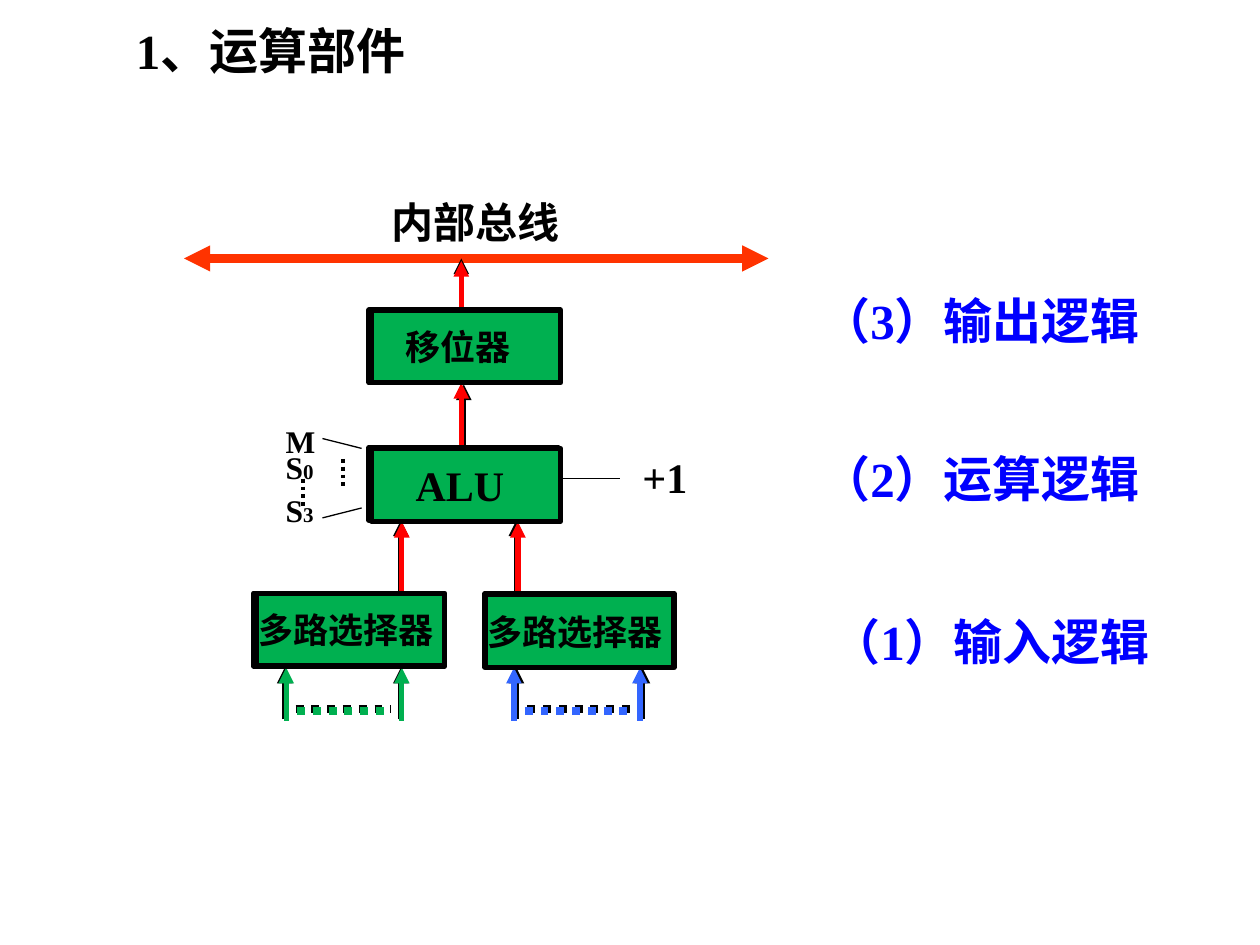
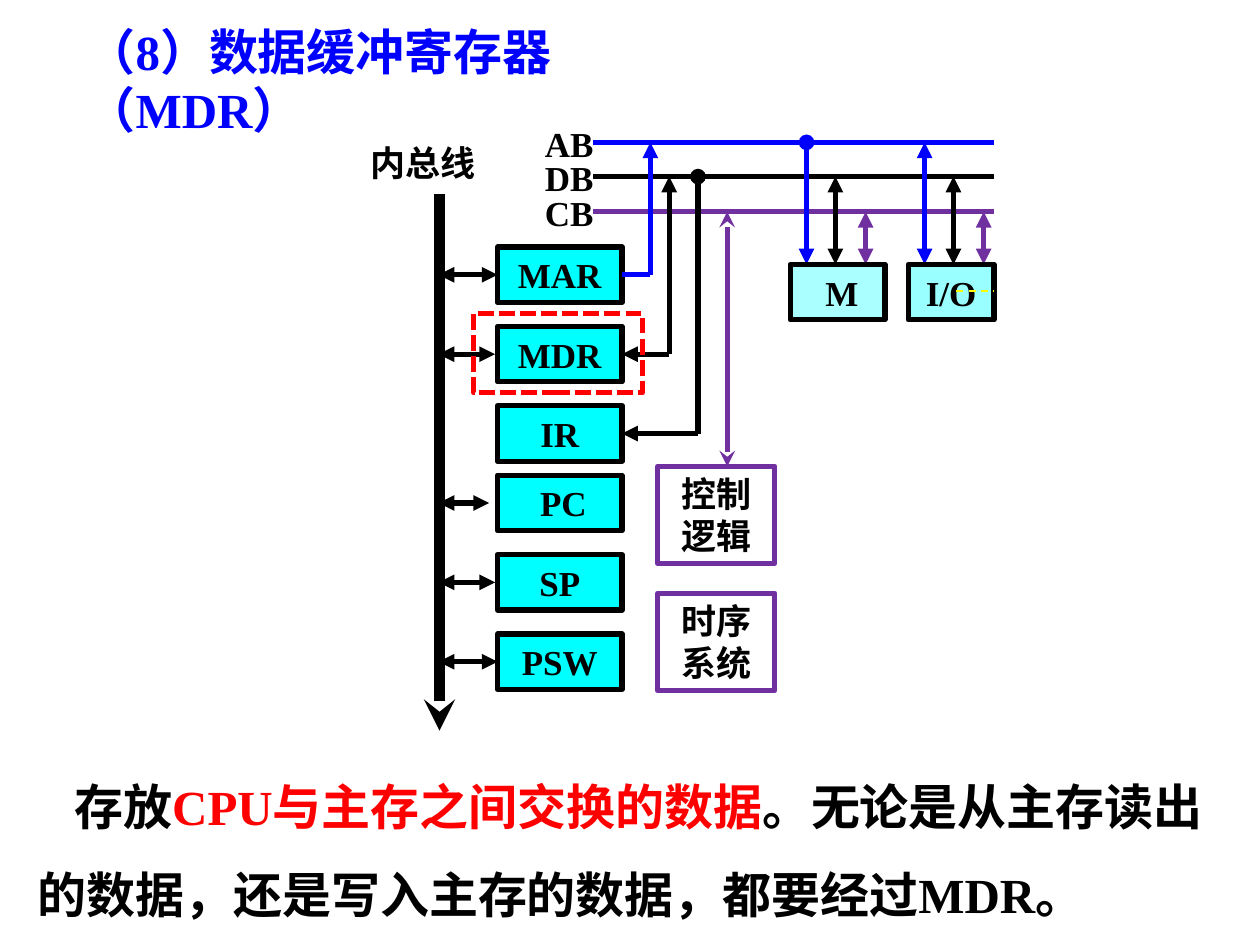
from lxml import etree
from pptx import Presentation
from pptx import util as u
from pptx.dml.color import RGBColor
from pptx.enum import dml, shapes, text
from pptx.oxml.ns import qn

Cm, Pt = u.Cm, u.Pt
FONT = "Times New Roman"
COLORS = {
    "black": "000000", "red": "FF0000", "orange": "FF3300", "blue": "0000FF",
    "green": "00B050", "sky": "3366FF", "purple": "7030A0", "yellow": "FFFF00",
    "cyan": "00FFFF", "pale": "AAFFFF", "ice": "99FFFF",
}
DASHES = {
    "dots": dml.MSO_LINE.ROUND_DOT,
    "dashes": dml.MSO_LINE.SQUARE_DOT,
    "long": dml.MSO_LINE.DASH,
}
LEFT, CENTER = text.PP_ALIGN.LEFT, text.PP_ALIGN.CENTER
TOP, MIDDLE = text.MSO_ANCHOR.TOP, text.MSO_ANCHOR.MIDDLE
LEFT_SIDE, RIGHT_SIDE = 1, 3

# Slide 1: all places in centimetres
UNIT_SIZE = (3.81, 1.47)
UNITS = [  # label, size, left inset, place, place of the black backing
    ("多路选择器", 20, 0.05, (5.16, 11.96), (5.11, 11.96)),
    ("多路选择器", 20, 0.05, (9.78, 11.99), (9.78, 11.96)),
    ("ALU", 24, 0.89, (7.49, 9.04), (7.44, 9.02)),
    ("移位器", 20, 0.69, (7.49, 6.25), (7.44, 6.25)),
]
RISING_ARROWS = [  # colour, x, bottom, top
    ("black", 9.35, 9.02, 7.75), ("black", 9.30, 6.25, 5.21),
    ("black", 8.08, 11.96, 10.49), ("black", 10.41, 11.96, 10.49),
    ("red", 8.10, 12.01, 10.52), ("red", 10.44, 12.01, 10.52),
    ("red", 9.30, 8.99, 7.72), ("red", 9.30, 6.32, 5.26),
]
INPUT_GROUPS = [  # colour, x of first and last input, bottom
    ("black", 5.74, 8.08, 14.50), ("black", 10.41, 12.95, 14.50),
    ("green", 5.77, 8.10, 14.53), ("sky", 10.36, 12.90, 14.53),
]
CONTROL_LINES = [  # start, end, width, dash
    ((6.91, 9.25), (6.91, 9.86), 2.25, "dots"),
    ((6.10, 9.65), (6.10, 10.24), 2.25, "dots"),
    ((6.50, 8.84), (7.29, 9.04), 0.75, None),
    ((6.50, 10.44), (7.29, 10.24), 0.75, None),
    ((11.30, 9.65), (12.50, 9.65), 0.75, None),
]
CONTROL_SIGNALS = [[("M S", 18), ("0", 12)], [("S", 18), ("3", 12)]]
LOGIC_LABELS = [
    ("（1）输入逻辑", 16.51, 12.19),
    ("（2）运算逻辑", 16.31, 8.92),
    ("（3）输出逻辑", 16.31, 5.72),
]

# Slide 2
REGISTER_SIZE = (2.51, 1.12)
REGISTER_LEFT, REGISTER_STEP = 10.03, 1.6
REGISTER_GROUPS = [(4.98, ["MAR", "MDR", "IR"]), (9.58, ["PC", "SP", "PSW"])]
INNER_BUS_X = 8.84
SHORT_ARROWS = {"MDR": 9.98, "PC": 9.86, "SP": 9.98}
BUSES = {"AB": (2.87, "blue"), "DB": (3.56, "black"), "CB": (4.27, "purple")}
BUS_LEFT, BUS_RIGHT = 11.96, 20.04
DEVICES = [  # label, left, width, fill, left inset, start of address line
    ("M", 15.93, 1.91, "pale", 0.43, "oval"),
    ("I/O", 18.31, 1.73, "ice", 0.25, "triangle"),
]
DEVICE_TOP = 5.33
DEVICE_TAPS = [("AB", 0.33), ("DB", 0.91), ("CB", 1.52)]
CONTROL_BOXES = [("控制逻辑", 9.4), ("时序系统", 11.96)]
MDR_SUMMARY = [
    ("存放", "black"),
    ("CPU与主存之间交换的数据", "red"),
    ("。无论是从主存读出的数据，还是写入主存的数据，都要经过MDR。", "black"),
]


def rgb(name):
    return RGBColor.from_string(COLORS[name])


def add_span(para, words, size, color="black"):
    span = para.add_run()
    span.text = words
    span.font.name, span.font.size, span.font.bold = FONT, Pt(size), True
    span.font.color.rgb = rgb(color)


def add_label(page, place, words="", size=20, color="black", align=LEFT, anchor=TOP):
    box = page.shapes.add_textbox(*map(Cm, place))
    frame = box.text_frame
    frame.word_wrap, frame.vertical_anchor = True, anchor
    para = frame.paragraphs[0]
    para.alignment = align
    if words:
        add_span(para, words, size, color)
    return frame


def add_heading(page, place, words, color):
    return add_label(page, place, words, 28, color, anchor=MIDDLE)


def add_box(page, place, words="", fill=None, line="black", size=20,
            align=CENTER, insets=(0.25, 0.25), dash=None):
    box = page.shapes.add_shape(shapes.MSO_SHAPE.RECTANGLE, *map(Cm, place))
    box.shadow.inherit = False
    if fill:
        box.fill.solid()
        box.fill.fore_color.rgb = rgb(fill)
    else:
        box.fill.background()
    box.line.color.rgb, box.line.width = rgb(line), Pt(3)
    if dash:
        box.line.dash_style = DASHES[dash]
    if words:
        frame = box.text_frame
        frame.word_wrap, frame.vertical_anchor = True, MIDDLE
        frame.margin_left, frame.margin_right = map(Cm, insets)
        frame.margin_top = frame.margin_bottom = 0
        frame.paragraphs[0].alignment = align
        add_span(frame.paragraphs[0], words, size)
    return box


def side_point(end):
    """Turn (box, side) into a point in EMU; pass (x, y) in cm through Cm."""
    if isinstance(end[0], (int, float)):
        return Cm(end[0]), Cm(end[1])
    box, side = end
    x = box.left + (box.width if side == RIGHT_SIDE else 0)
    return x, box.top + box.height // 2


def add_line(page, start, end, color="black", width=3, dash=None, head=None, tail=None):
    """Draw a line; each end is (x, y) in cm or (box, side) to be joined."""
    line = page.shapes.add_connector(
        shapes.MSO_CONNECTOR.STRAIGHT, *side_point(start), *side_point(end))
    for point, join in ((start, line.begin_connect), (end, line.end_connect)):
        if not isinstance(point[0], (int, float)):
            join(*point)
    line.line.color.rgb, line.line.width = rgb(color), Pt(width)
    if dash:
        line.line.dash_style = DASHES[dash]
    props = line._element.spPr
    outline = props.find(qn("a:ln"))
    for tag, kind in (("a:headEnd", head), ("a:tailEnd", tail)):
        if kind:
            etree.SubElement(outline, qn(tag)).set("type", kind)
    etree.SubElement(props, qn("a:effectLst"))


def build_arithmetic_unit(page):
    add_heading(page, (2.49, 0.28, 6.88, 1.45), "1、运算部件", "black")
    add_line(page, (3.71, 5.21), (15.49, 5.21), "orange", 5,
             head="triangle", tail="triangle")
    add_label(page, (7.65, 3.84, 7.62, 1.27), "内部总线", 24)

    for color, x, bottom, top in RISING_ARROWS:
        add_line(page, (x, bottom), (x, top), color, tail="triangle")
    for color, first, last, bottom in INPUT_GROUPS:
        for x in (first, last):
            add_line(page, (x, bottom), (x, 13.46), color, tail="triangle")
        add_line(page, (first + 0.22, bottom - 0.2), (last - 0.21, bottom - 0.2),
                 color, 4.5, "dots")

    signals = add_label(page, (5.51, 8.59, 1.6, 2.24))
    for index, spans in enumerate(CONTROL_SIGNALS):
        para = signals.add_paragraph() if index else signals.paragraphs[0]
        para.line_spacing = 0.7
        if index:
            para.space_before = Pt(9)
        for words, size in spans:
            add_span(para, words, size)
    for start, end, width, dash in CONTROL_LINES:
        add_line(page, start, end, width=width, dash=dash)
    carry = add_label(page, (12.7, 9.25, 1.6, 0.97), "+1", 24)
    carry.paragraphs[0].line_spacing = 0.7

    for words, size, inset, place, backing in UNITS:
        add_box(page, backing + UNIT_SIZE, fill="black")
        add_box(page, place + UNIT_SIZE, words, "green", size=size,
                align=LEFT, insets=(inset, 0))
    for words, left, top in LOGIC_LABELS:
        add_heading(page, (left, top, 7.95, 1.45), words, "blue")


def build_registers(page):
    """Draw the register boxes, joined to the inner bus, and return them by name."""
    add_line(page, (8.86, 3.91), (8.86, 14.73), width=6, tail="stealth")
    add_label(page, (6.5, 2.72, 4.04, 1.12), "内总线", align=CENTER)
    boxes = {}
    for first_top, names in REGISTER_GROUPS:
        for row, name in enumerate(names):
            top = first_top + row * REGISTER_STEP
            insets = (0.4, 0.25) if name == "PC" else (0.25, 0.25)
            box = add_box(page, (REGISTER_LEFT, top) + REGISTER_SIZE, name,
                          "cyan", insets=insets)
            boxes[name] = box
            if name != "IR":
                middle = top + REGISTER_SIZE[1] / 2
                start = (SHORT_ARROWS[name], middle) if name in SHORT_ARROWS else (box, LEFT_SIDE)
                add_line(page, start, (INNER_BUS_X, middle),
                         head="triangle", tail="triangle")
    return boxes


def build_data_register(page):
    title = add_heading(page, (1.5, 0.3, 14.91, 2.9), "（8）数据缓冲寄存器", "blue")
    title.vertical_anchor = TOP
    title.paragraphs[0].add_line_break()
    add_span(title.paragraphs[0], "（MDR）", 28, "blue")

    for name, (y, color) in BUSES.items():
        add_line(page, (BUS_LEFT, y), (BUS_RIGHT, y), color)
        add_label(page, (10.41, y - 0.53, 2.13, 1.12), name, align=CENTER)

    registers = build_registers(page)
    elbows = [  # register, bus, x, arrow at the register, ends of the riser
        ("MAR", "AB", 13.11, None, "triangle"),
        ("MDR", "DB", 13.49, "triangle", "triangle"),
        ("IR", "DB", 14.07, "triangle", "oval"),
    ]
    for name, bus, x, register_end, bus_end in elbows:
        box = registers[name]
        bus_y, color = BUSES[bus]
        middle = (box.top + box.height / 2) / Cm(1)
        add_line(page, (x, middle), (box, RIGHT_SIDE), color, tail=register_end)
        add_line(page, (x, middle), (x, bus_y), color, tail=bus_end)

    for name, left, width, fill, inset, address_start in DEVICES:
        for bus, offset in DEVICE_TAPS:
            y, color = BUSES[bus]
            add_line(page, (left + offset, y), (left + offset, DEVICE_TOP), color,
                     head=address_start if bus == "AB" else "triangle", tail="triangle")
        add_box(page, (left, DEVICE_TOP, width, 1.12), name, fill, insets=(inset, 0.25))
    add_line(page, (19.28, 5.87), (BUS_RIGHT, 5.87), "yellow", 1, "long")

    add_line(page, (14.66, BUSES["CB"][0]), (14.66, 9.4), "purple",
             head="stealth", tail="stealth")
    for words, top in CONTROL_BOXES:
        add_box(page, (13.26, top, 2.36, 1.96), words, line="purple")
    add_box(page, (9.55, 6.32, 3.4, 1.6), line="red", dash="dashes")

    summary = add_label(page, (0.51, 14.94, 24.41, 3.84)).paragraphs[0]
    summary.line_spacing = 1.5
    summary._p.get_or_add_pPr().set("indent", str(Cm(0.74)))
    for words, color in MDR_SUMMARY:
        add_span(summary, words, 28, color)


def main():
    deck = Presentation()
    deck.slide_width, deck.slide_height = Cm(25.4), Cm(19.05)
    for build in (build_arithmetic_unit, build_data_register):
        build(deck.slides.add_slide(deck.slide_layouts[6]))
    deck.save("out.pptx")


if __name__ == "__main__":
    main()
